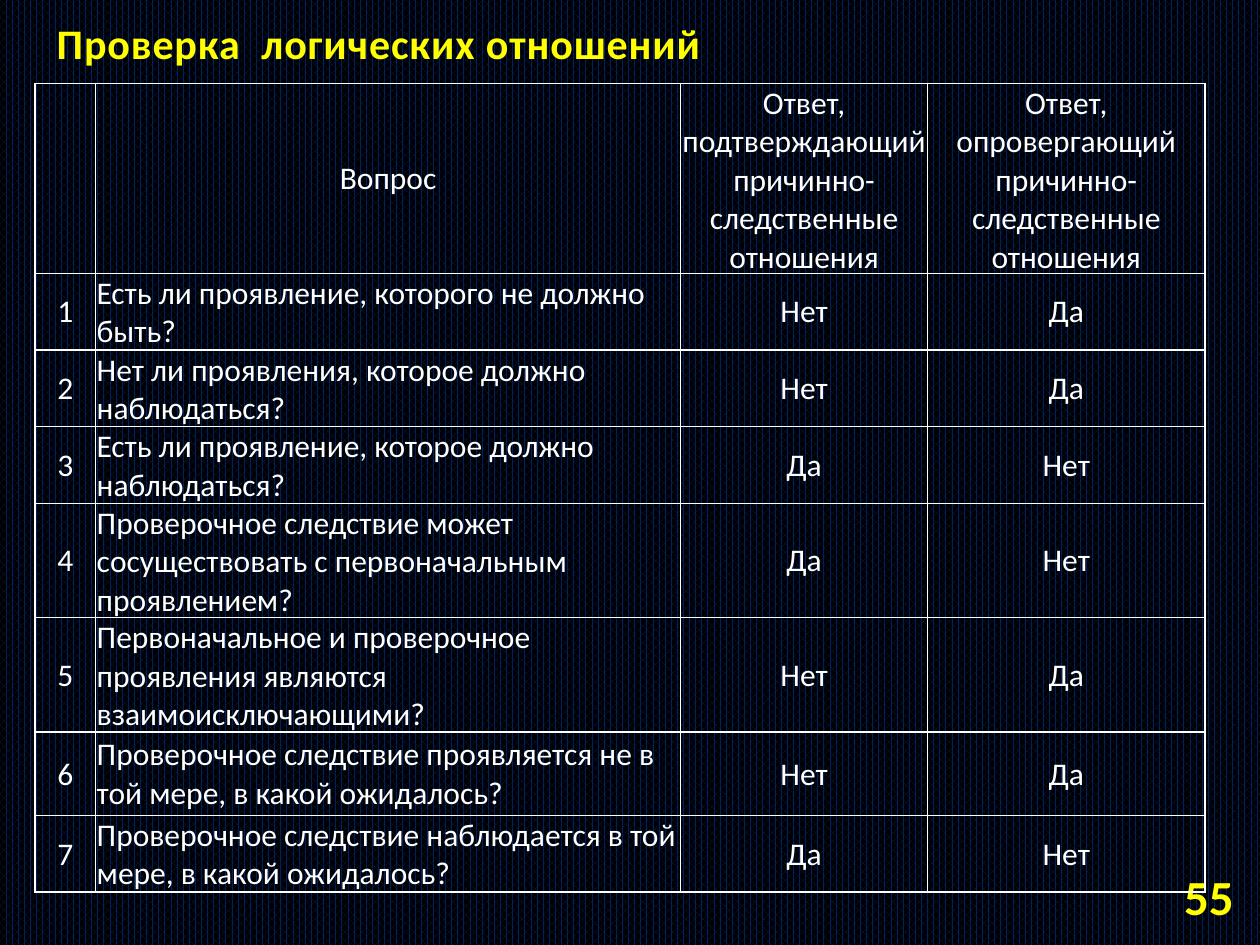
from lxml import etree
from pptx import Presentation
from pptx.dml.color import RGBColor
from pptx.enum.dml import MSO_PATTERN
from pptx.enum.text import MSO_ANCHOR, MSO_AUTO_SIZE, PP_ALIGN
from pptx.oxml.ns import qn
from pptx.util import Cm, Pt

LEFT, CENTER, RIGHT = PP_ALIGN.LEFT, PP_ALIGN.CENTER, PP_ALIGN.RIGHT
MIDDLE, BOTTOM = MSO_ANCHOR.MIDDLE, MSO_ANCHOR.BOTTOM
NO_AUTOFIT = MSO_AUTO_SIZE.NONE
DENSE_DOTS = MSO_PATTERN.PERCENT_70

WHITE = RGBColor(0xFF, 0xFF, 0xFF)
YELLOW = RGBColor(0xFF, 0xFF, 0x00)
NAVY = RGBColor(0x00, 0x20, 0x60)
BLACK = RGBColor(0x00, 0x00, 0x00)

TITLE_FONT = {"name": "Calibri", "size": Pt(24), "bold": True}
NUMBER_FONT = {"name": "Calibri", "size": Pt(28), "bold": True}
CELL_FONT = {"name": "Calibri", "size": Pt(18), "bold": False}

YES, NO = "Да", "Нет"
HEADER = [
    "",
    "Вопрос",
    "Ответ, подтверждающий причинно-следственные отношения",
    "Ответ, опровергающий причинно-следственные отношения",
]
# Each question with the answer that confirms the causal relation
QUESTIONS = [
    ("Есть ли проявление, которого не должно быть?", NO),
    ("Нет ли проявления, которое должно наблюдаться?", NO),
    ("Есть ли проявление, которое должно наблюдаться?", YES),
    ("Проверочное следствие может сосуществовать с первоначальным проявлением?", YES),
    ("Первоначальное и проверочное проявления являются взаимоисключающими?", NO),
    ("Проверочное следствие проявляется не в той мере, в какой ожидалось?", NO),
    ("Проверочное следствие наблюдается в той мере, в какой ожидалось?", YES),
]
COLUMN_WIDTHS = [1.22, 11.79, 4.98, 5.59]
ROW_HEIGHTS = [2.51, 1.24, 1.24, 1.24, 1.68, 1.68, 1.68, 1.24]


def set_attributes(target, values):
    for name, value in values.items():
        setattr(target, name, value)


def write_text(frame, text, font, color, alignment):
    para = frame.paragraphs[0]
    para.alignment = alignment
    span = para.add_run()
    span.text = text
    set_attributes(span.font, font)
    span.font.color.rgb = color
    return span


def paint_background(page):
    fill = page.background.fill
    fill.patterned()
    fill.pattern = DENSE_DOTS
    fill.fore_color.rgb = NAVY
    fill.back_color.rgb = BLACK


def add_title(page):
    title = page.shapes.title
    set_attributes(title, {"left": Cm(0.89), "top": Cm(0.33),
                           "width": Cm(15.19), "height": Cm(1.17)})
    set_attributes(title.text_frame, {"word_wrap": True, "auto_size": NO_AUTOFIT,
                                      "vertical_anchor": BOTTOM})
    span = write_text(title.text_frame, "Проверка  логических отношений",
                      TITLE_FONT, YELLOW, LEFT)
    span.font._element.set("spc", "50")


def add_page_number(page):
    box = page.shapes.add_textbox(Cm(22.71), Cm(17.55), Cm(2.41), Cm(1.02))
    set_attributes(box.text_frame, {"word_wrap": True, "vertical_anchor": MIDDLE})
    write_text(box.text_frame, "55", NUMBER_FONT, YELLOW, RIGHT)


def add_borders(cell):
    properties = cell._tc.get_or_add_tcPr()
    for index, side in enumerate(("a:lnL", "a:lnR", "a:lnT", "a:lnB")):
        line = etree.Element(qn(side), w=str(Pt(1)))
        fill = etree.SubElement(line, qn("a:solidFill"))
        etree.SubElement(fill, qn("a:srgbClr"), val=str(WHITE))
        properties.insert(index, line)


def fill_cell(cell, text, alignment):
    cell.fill.background()
    set_attributes(cell, {"vertical_anchor": MIDDLE, "margin_left": Cm(0.02),
                          "margin_right": Cm(0.02), "margin_top": Cm(0.02),
                          "margin_bottom": 0})
    if text:
        write_text(cell.text_frame, text, CELL_FONT, WHITE, alignment)
    add_borders(cell)


def add_question_table(page):
    rows = [HEADER]
    for number, (question, confirming) in enumerate(QUESTIONS, 1):
        refuting = NO if confirming == YES else YES
        rows.append([str(number), question, confirming, refuting])

    holder = page.shapes.add_table(len(rows), len(HEADER), Cm(0.71), Cm(1.68),
                                   Cm(23.58), Cm(16.33))
    table = holder.table
    set_attributes(table, {"first_row": False, "horz_banding": False})
    for column, width in zip(table.columns, COLUMN_WIDTHS):
        column.width = Cm(width)
    for row, height in zip(table.rows, ROW_HEIGHTS):
        row.height = Cm(height)
    # Rows grow to fit their text, so the frame is taller than their sum
    holder.height = Cm(16.33)

    for r, texts in enumerate(rows):
        for c, text in enumerate(texts):
            is_question = r > 0 and c == 1
            fill_cell(table.cell(r, c), text, LEFT if is_question else CENTER)


def main():
    deck = Presentation()
    set_attributes(deck, {"slide_width": Cm(25.4), "slide_height": Cm(19.05)})
    page = deck.slides.add_slide(deck.slide_layouts[5])
    paint_background(page)
    add_title(page)
    add_page_number(page)
    add_question_table(page)
    deck.save("out.pptx")


if __name__ == "__main__":
    main()
